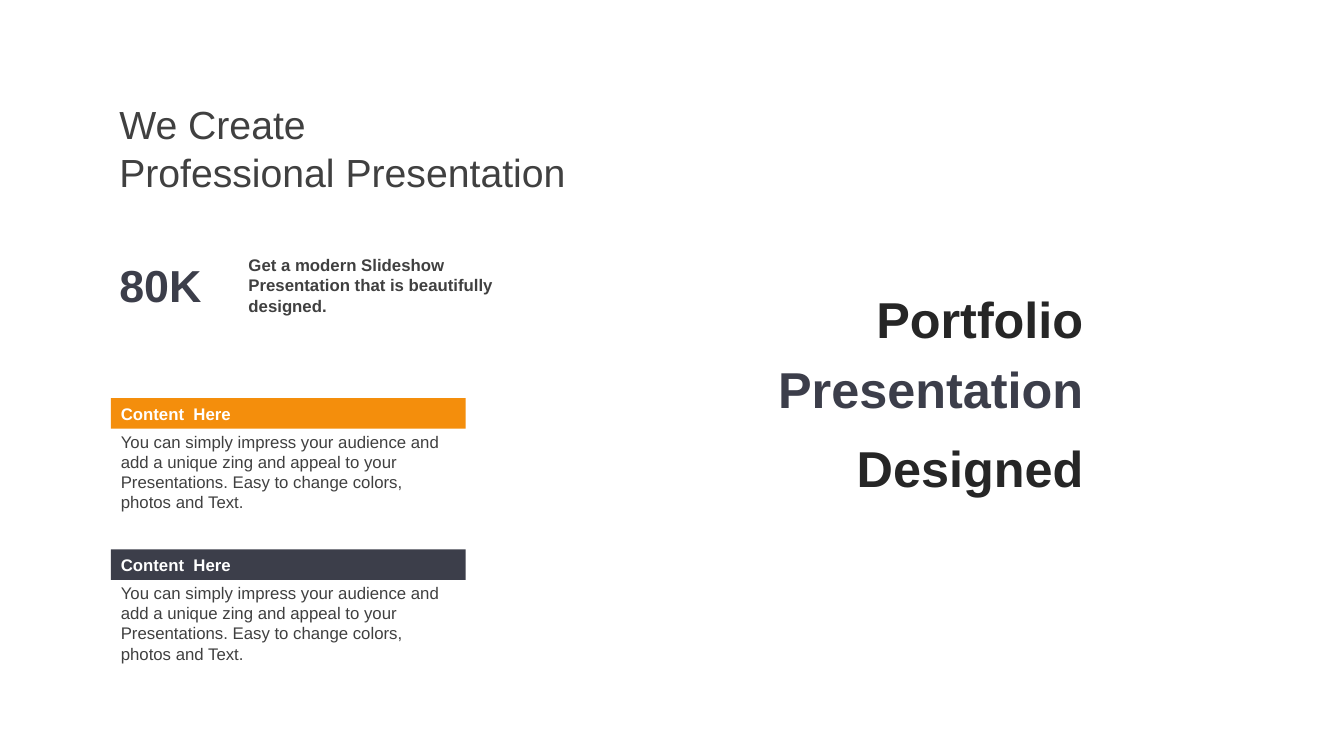
"""Builds a portfolio slide with a headline, a key figure and two content cards."""
from pptx import Presentation
from pptx import util as u
from pptx.dml.color import RGBColor
from pptx.enum import shapes, text

ORANGE, SLATE, GREY, BLACK, WHITE = "F48E0C", "3C3E4A", "404040", "262626", "FFFFFF"
LEFT = 79.2
CARD_TEXT = ("You can simply impress your audience and add a unique zing and appeal "
             "to your Presentations. Easy to change colors, photos and Text.")


def color(value):
    """Return the colour of a hex string."""
    return RGBColor.from_string(value)


def set_all(target, values):
    """Set each attribute named in a dict of values."""
    for name, value in values.items():
        setattr(target, name, value)


def write(shape, paragraphs, size, bold=False, insets=(7.2, 3.6, 7.2, 3.6),
          frame_format=None, paragraph_format=None):
    """Fill a shape with paragraphs, each a list of (text, colour) runs."""
    frame = shape.text_frame
    sides = ("margin_left", "margin_top", "margin_right", "margin_bottom")
    set_all(frame, {side: u.Pt(inset) for side, inset in zip(sides, insets)})
    set_all(frame, {"word_wrap": True, "vertical_anchor": text.MSO_ANCHOR.TOP,
                    **(frame_format or {})})
    for index, runs in enumerate(paragraphs):
        paragraph = frame.add_paragraph() if index else frame.paragraphs[0]
        set_all(paragraph, {"alignment": text.PP_ALIGN.LEFT, **(paragraph_format or {})})
        for words, fill in runs:
            run = paragraph.add_run()
            run.text = words
            set_all(run.font, {"name": "Arial", "size": u.Pt(size), "bold": bold})
            run.font.color.rgb = color(fill)
    return frame


def add_text(parent, box, paragraphs, size, **options):
    """Add a text box at a box given in points."""
    shape = parent.shapes.add_textbox(*map(u.Pt, box))
    return write(shape, paragraphs, size, **options)


def add_headline(slide, box):
    """Add the two-line headline."""
    lines = ("We Create", "Professional Presentation")
    add_text(slide, box, [[(line, GREY)] for line in lines], 28, insets=(6, 0, 3, 0))


def add_key_figure(slide, box):
    """Add the large figure and the statement to its right."""
    left, top, width, height = box
    add_text(slide, (left, top + 5.8, 80, 39), [[("80K", SLATE)]], 32,
             bold=True, insets=(6, 0, 3, 0))
    statement = "Get a modern Slideshow Presentation that is beautifully designed."
    add_text(slide, (left + 91.2, top, width - 91.2, height), [[(statement, GREY)]], 12, bold=True)


def add_card(slide, box, fill):
    """Add a card with a coloured heading bar above its text."""
    left, top, width, height = box
    card = slide.shapes.add_group_shape()
    bar = card.shapes.add_shape(shapes.MSO_SHAPE.RECTANGLE, *map(u.Pt, (left, top, width, 21.8)))
    bar.shadow.inherit = False
    bar.fill.solid()
    bar.fill.fore_color.rgb = color(fill)
    bar.line.fill.background()
    write(bar, [[("Content  Here", WHITE)]], 12, bold=True,
          frame_format={"vertical_anchor": text.MSO_ANCHOR.MIDDLE})
    add_text(card, (left, top + 20.4, width, height - 20.4), [[(CARD_TEXT, GREY)]], 12)


def add_slogan(slide, box):
    """Add the large right-aligned slogan."""
    frame = add_text(
        slide, box, [[("Portfolio ", BLACK), ("Presentation", SLATE)], [("Designed", BLACK)]],
        36, bold=True, frame_format={"vertical_anchor": text.MSO_ANCHOR.MIDDLE},
        paragraph_format={"alignment": text.PP_ALIGN.RIGHT, "line_spacing": 1.15})
    frame.paragraphs[1].space_before = u.Pt(7.2)


def main():
    """Build and save the presentation."""
    presentation = Presentation()
    set_all(presentation, {"slide_width": u.Pt(960), "slide_height": u.Pt(540)})
    slide = presentation.slides.add_slide(presentation.slide_layouts[6])
    add_headline(slide, (LEFT, 72, 330.5, 67.7))
    add_key_figure(slide, (LEFT, 178.6, 298, 51))
    for index, fill in enumerate((ORANGE, SLATE)):
        add_card(slide, (LEFT, 284.4 + 108 * index, 253.4, 86), fill)
    add_slogan(slide, (537, 203, 244, 149))
    presentation.save("out.pptx")


if __name__ == "__main__":
    main()
